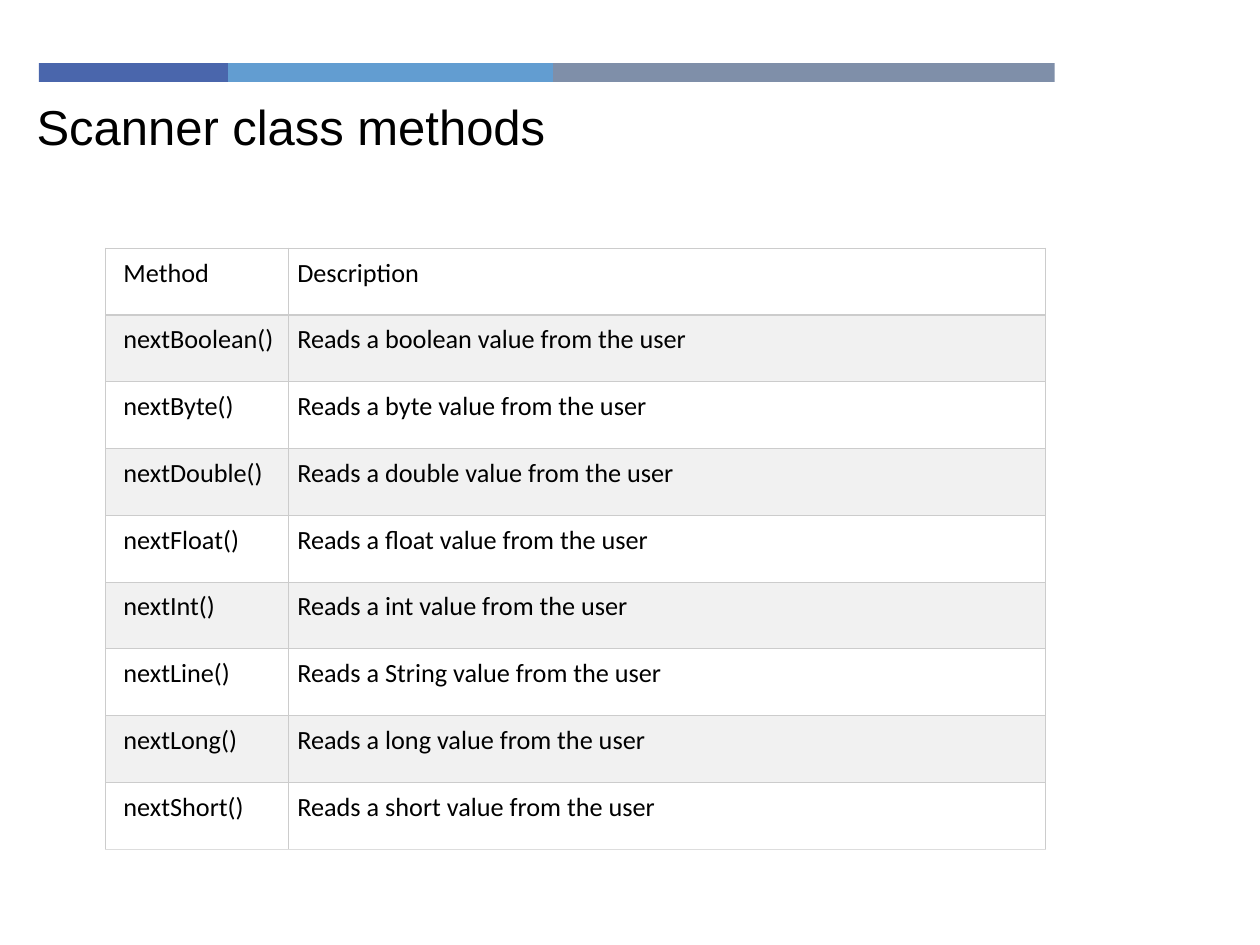
from typing import NamedTuple

from lxml import etree
from pptx import Presentation, util as u
from pptx.dml.color import RGBColor
from pptx.enum import shapes, text
from pptx.oxml.ns import qn

COLOURS = {
    "indigo": "4A66AC",
    "sky": "629DD1",
    "slate": "7F8FA9",
    "ink": "000000",
    "plain_row": "FFFFFF",
    "shaded_row": "F1F1F1",
    "rule": "CCCCCC",
    "last_rule": "DDDDDD",
}


class Band(NamedTuple):
    width: float
    colour: str


class Method(NamedTuple):
    name: str
    description: str


BANDS = [Band(1.5, "indigo"), Band(2.58, "sky"), Band(3.98, "slate")]
VALUE_TYPES = ["boolean", "byte", "double", "float", "int", "String", "long", "short"]
METHOD_NAMES = ["nextBoolean()", "nextByte()", "nextDouble()", "nextFloat()",
                "nextInt()", "nextLine()", "nextLong()", "nextShort()"]
METHODS = [Method("Method", "Description")] + [
    Method(name, f"Reads a {value_type} value from the user")
    for name, value_type in zip(METHOD_NAMES, VALUE_TYPES)
]
COLUMN_WIDTHS = [1.45, 6.01]
ROW_HEIGHT = 0.53


def rgb(colour: str) -> RGBColor:
    return RGBColor.from_string(COLOURS[colour])


def apply_format(target, values: dict) -> None:
    for attribute, value in values.items():
        setattr(target, attribute, value)


def write_text(frame, words: str, size: float, font: str) -> None:
    run = frame.paragraphs[0].add_run()
    run.text = words
    apply_format(run.font, {"size": u.Pt(size), "name": font})
    run.font.color.rgb = rgb("ink")


def draw_bands(slide, left: float, top: float, height: float) -> None:
    for band in BANDS:
        stripe = slide.shapes.add_shape(
            shapes.MSO_SHAPE.RECTANGLE,
            u.Inches(left), u.Inches(top), u.Inches(band.width), u.Inches(height))
        stripe.shadow.inherit = False
        stripe.fill.solid()
        stripe.fill.fore_color.rgb = rgb(band.colour)
        stripe.line.fill.background()
        left += band.width


def draw_title(slide, words: str) -> None:
    title = slide.shapes.add_textbox(
        u.Inches(0.29), u.Inches(0.77), u.Inches(5.64), u.Inches(0.47))
    apply_format(title.text_frame, {
        "margin_left": 0, "margin_top": 0, "margin_right": 0, "margin_bottom": 0,
        "word_wrap": True, "auto_size": text.MSO_AUTO_SIZE.SHAPE_TO_FIT_TEXT})
    write_text(title.text_frame, words, 28, "Arial")


def add_borders(cell, bottom_colour: str) -> None:
    properties = cell._tc.get_or_add_tcPr()
    sides = {"lnL": "rule", "lnR": "rule", "lnT": "rule", "lnB": bottom_colour}
    for side, colour in sides.items():
        border = etree.SubElement(properties, qn(f"a:{side}"), w=str(u.Pt(0.75)))
        fill = etree.SubElement(border, qn("a:solidFill"))
        etree.SubElement(fill, qn("a:srgbClr"), val=COLOURS[colour])


def draw_methods(slide, left: float, top: float) -> None:
    table = slide.shapes.add_table(
        len(METHODS), len(COLUMN_WIDTHS), u.Inches(left), u.Inches(top),
        u.Inches(sum(COLUMN_WIDTHS)), u.Inches(ROW_HEIGHT * len(METHODS))).table
    apply_format(table, {"first_row": False, "horz_banding": False})
    for column, width in zip(table.columns, COLUMN_WIDTHS):
        column.width = u.Inches(width)

    for row_index, method in enumerate(METHODS):
        table.rows[row_index].height = u.Inches(ROW_HEIGHT)
        is_last = row_index == len(METHODS) - 1
        for column_index, words in enumerate(method):
            cell = table.cell(row_index, column_index)
            apply_format(cell, {
                "margin_left": u.Inches(0.07 if column_index else 0.14),
                "margin_top": u.Inches(0.07),
                "margin_right": u.Inches(0.07),
                "margin_bottom": u.Inches(0.07)})
            add_borders(cell, "last_rule" if is_last else "rule")
            cell.fill.solid()
            cell.fill.fore_color.rgb = rgb("shaded_row" if row_index % 2 else "plain_row")
            write_text(cell.text_frame, words, 15, "Calibri")


def main() -> None:
    deck = Presentation()
    apply_format(deck, {"slide_width": u.Inches(10), "slide_height": u.Inches(7.5)})
    slide = deck.slides.add_slide(deck.slide_layouts[6])

    # Coloured strip above the title
    draw_bands(slide, 0.31, 0.5, 0.15)

    # Title
    draw_title(slide, "Scanner class methods")

    # Table of Scanner methods
    draw_methods(slide, 0.84, 1.97)

    deck.save("out.pptx")


if __name__ == "__main__":
    main()
